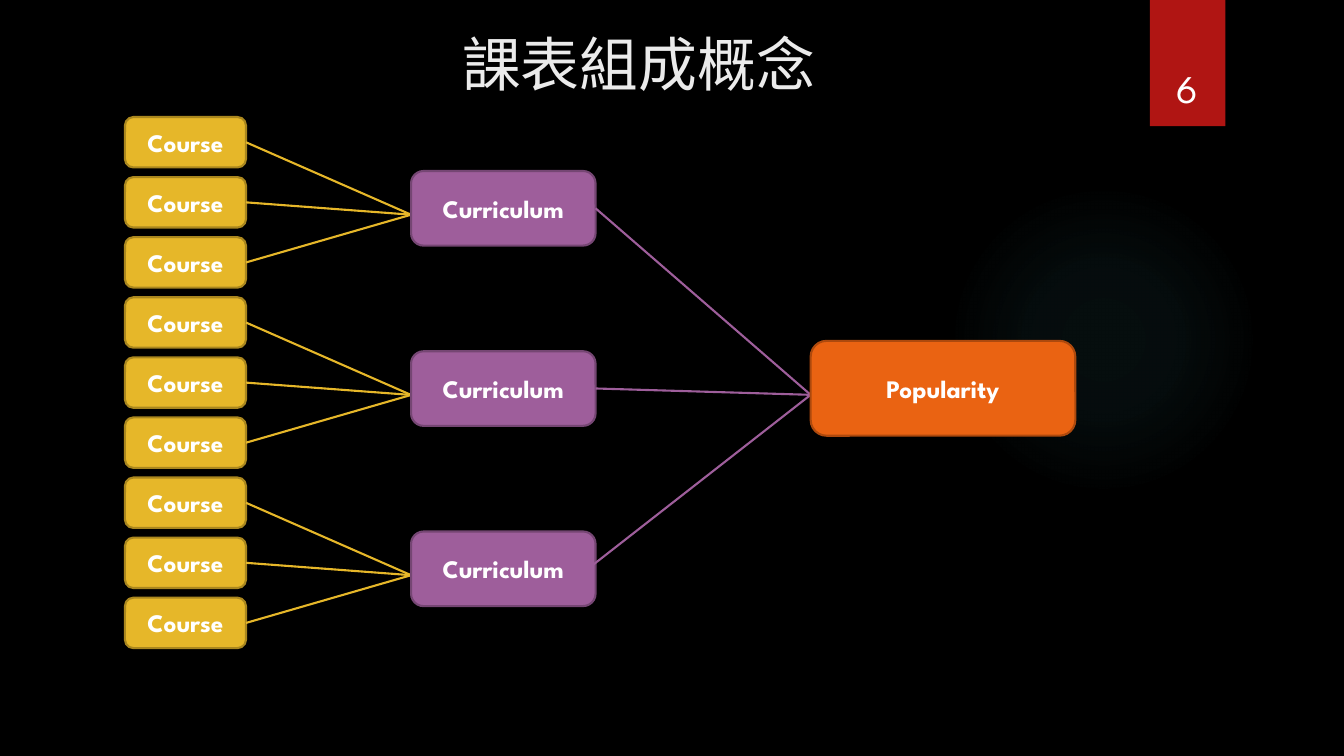
from dataclasses import dataclass

from lxml import etree
from pptx import Presentation
from pptx import util as u
from pptx.dml.color import RGBColor
from pptx.enum import shapes, text
from pptx.oxml import ns


@dataclass(frozen=True)
class Theme:
    background: str = "000000"
    glow: str = "50B9C1"
    ribbon: str = "B01513"
    title: str = "EBEBEB"
    white: str = "FFFFFF"
    course: tuple = ("E6B729", "AA871E")
    curriculum: tuple = ("9E5E9B", "754673")
    popularity: tuple = ("EA6312", "AD490D")
    latin: str = "League Spartan"
    cjk: str = "Noto Sans CJK SC"
    title_size: int = 42
    number_size: int = 28
    box_size: int = 18
    line_width: float = 1.5


theme = Theme()
prs = Presentation()
prs.slide_width, prs.slide_height = u.Cm(33.87), u.Cm(19.05)
s = prs.slides.add_slide(prs.slide_layouts[6])
s.background.fill.solid()
s.background.fill.fore_color.rgb = RGBColor.from_string(theme.background)


def add_block(kind, x, y, w, h, fill=None, border=None, label="", size=theme.box_size,
              font=theme.latin, color=theme.white, bold=False, anchor=text.MSO_ANCHOR.MIDDLE):
    box = [u.Cm(v) for v in (x, y, w, h)]
    if kind is None:
        sp = s.shapes.add_textbox(*box)
    else:
        sp = s.shapes.add_shape(kind, *box)
        sp.shadow.inherit = False
        if fill:
            sp.fill.solid()
            sp.fill.fore_color.rgb = RGBColor.from_string(fill)
        if border:
            sp.line.color.rgb = RGBColor.from_string(border)
            sp.line.width = u.Pt(theme.line_width)
        else:
            sp.line.fill.background()
    if label:
        tf = sp.text_frame
        tf.word_wrap = True
        tf.vertical_anchor = anchor
        p = tf.paragraphs[0]
        p.text = label
        p.alignment = text.PP_ALIGN.CENTER
        p.font.name, p.font.size, p.font.bold = font, u.Pt(size), bold
        p.font.color.rgb = RGBColor.from_string(color)
    return sp


def add_link(x1, y1, x2, y2, color):
    link = s.shapes.add_connector(shapes.MSO_CONNECTOR.STRAIGHT, *[u.Cm(v) for v in (x1, y1, x2, y2)])
    link.line.color.rgb = RGBColor.from_string(color)
    link.line.width = u.Pt(theme.line_width)
    etree.SubElement(link._element.spPr, ns.qn("a:effectLst"))


glow = add_block(shapes.MSO_SHAPE.OVAL, 23.9, 4.65, 7.82, 7.82)
glow.fill.gradient()
grad = glow._element.spPr.find(ns.qn("a:gradFill"))
for child in list(grad):
    grad.remove(child)
stops = etree.SubElement(grad, ns.qn("a:gsLst"))
for position, opacity in ((0, 7), (36, 6), (69, 0)):
    stop = etree.SubElement(stops, ns.qn("a:gs"), pos=str(position * 1000))
    clr = etree.SubElement(stop, ns.qn("a:srgbClr"), val=theme.glow)
    etree.SubElement(clr, ns.qn("a:alpha"), val=str(opacity * 1000))
radial = etree.SubElement(grad, ns.qn("a:path"), path="circle")
etree.SubElement(radial, ns.qn("a:fillToRect"), **dict.fromkeys("ltrb", "50000"))

add_block(shapes.MSO_SHAPE.RECTANGLE, 28.98, 0, 1.9, 3.18, theme.ribbon)
title = add_block(None, 11.35, 0.43, 9.48, 2.31, label="課表組成概念",
                  size=theme.title_size, font=theme.cjk, color=theme.title)
r = title.text_frame.paragraphs[0].runs[0]
etree.SubElement(r._r.get_or_add_rPr(), ns.qn("a:ea"), typeface=theme.cjk)
add_block(None, 28.75, 0.81, 2.34, 2.13, label="6", size=theme.number_size,
          anchor=text.MSO_ANCHOR.BOTTOM)

rounded = shapes.MSO_SHAPE.ROUNDED_RECTANGLE
groups, courses_per_group = 3, 3
course_x, course_y, course_w, course_h, course_step = 3.15, 2.95, 3.05, 1.27, 1.514
curriculum_x, curriculum_y, curriculum_w, curriculum_h = 10.36, 4.31, 4.65, 1.88
popularity_x, popularity_y, popularity_w, popularity_h = 20.43, 8.59, 6.67, 2.39
group_step = courses_per_group * course_step
join_y = 5.41
popularity_join_y = 9.95
curriculum_exits = ((15.01, 5.25), (15.01, 9.79), (14.27, 14.76))

for group in range(groups):
    shift = group * group_step
    for course in range(courses_per_group):
        y = course_y + shift + course * course_step
        add_block(rounded, course_x, y, course_w, course_h, *theme.course, "Course", bold=True)
        add_link(course_x + course_w, y + course_h / 2, curriculum_x, join_y + shift, theme.course[0])
    add_block(rounded, curriculum_x, curriculum_y + shift, curriculum_w, curriculum_h,
              *theme.curriculum, "Curriculum", bold=True)

for x, y in curriculum_exits:
    add_link(x, y, popularity_x, popularity_join_y, theme.curriculum[0])
add_block(rounded, popularity_x, popularity_y, popularity_w, popularity_h,
          *theme.popularity, "Popularity", bold=True)

prs.save("out.pptx")
